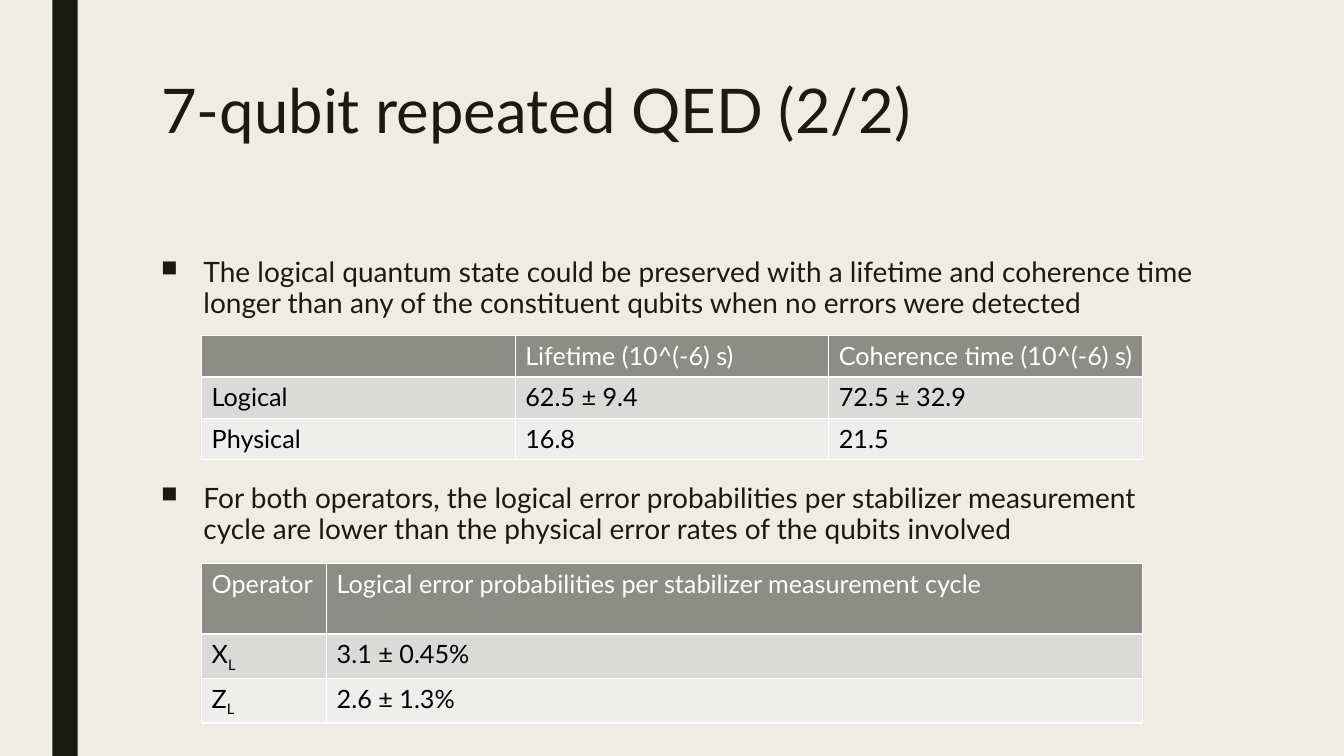
from lxml import etree
from pptx import Presentation
from pptx.dml.color import RGBColor
from pptx.enum import shapes
from pptx.oxml import ns
from pptx.util import Inches, Pt

INK = RGBColor(0x19, 0x1B, 0x0E)
PAPER = RGBColor(0xEF, 0xED, 0xE3)
WHITE = RGBColor(0xFF, 0xFF, 0xFF)
BLACK = RGBColor(0, 0, 0)
HEAD = RGBColor(0x8C, 0x8D, 0x86)
BANDS = [RGBColor(0xDA, 0xDB, 0xD9), RGBColor(0xEE, 0xEE, 0xED)]


def add_run(para, words, size, color):
    run = para.add_run()
    run.text = words
    run.font.name = "Lato"
    run.font.size = Pt(size)
    run.font.bold = False
    run.font.color.rgb = color
    return run


def add_box(top, height, words, size, space):
    box = slide.shapes.add_textbox(Inches(1.5), Inches(top), Inches(10.5), Inches(height))
    box.text_frame.word_wrap = True
    para = box.text_frame.paragraphs[0]
    para.line_spacing = space
    add_run(para, words, size, INK)
    return para


deck = Presentation()
deck.slide_width = Inches(13.33)
deck.slide_height = Inches(7.5)
slide = deck.slides.add_slide(deck.slide_layouts[6])
slide.background.fill.solid()
slide.background.fill.fore_color.rgb = PAPER

bar = slide.shapes.add_shape(
    shapes.MSO_SHAPE.RECTANGLE, Inches(0.52), 0, Inches(0.25), Inches(7.5))
bar.shadow.inherit = False
bar.fill.solid()
bar.fill.fore_color.rgb = INK
bar.line.fill.background()

add_box(0.75, 1.62, "7-qubit repeated QED (2/2)", 44, 0.89)

points = [
    (2.5, "The logical quantum state could be preserved with a lifetime and coherence time "
          "longer than any of the constituent qubits when no errors were detected"),
    (4.74, "For both operators, the logical error probabilities per stabilizer measurement "
           "cycle are lower than the physical error rates of the qubits involved"),
]
for top, words in points:
    para = add_box(top, 0.8, words, 20, 0.94)
    para.space_before = Pt(10)
    para.space_after = Pt(2)
    props = para._p.get_or_add_pPr()
    props.set("marL", str(Inches(0.42)))
    props.set("indent", str(-Inches(0.42)))
    etree.SubElement(props, ns.qn("a:buSzPct")).set("val", "80000")
    etree.SubElement(props, ns.qn("a:buChar")).set("char", "■")

tables = [
    (3.33, [3.11, 3.11, 3.11], [0.41, 0.41, 0.41], [
        ["", "Lifetime (10^(-6) s)", "Coherence time (10^(-6) s)"],
        ["Logical", "62.5 ± 9.4", "72.5 ± 32.9"],
        ["Physical", "16.8", "21.5"]]),
    (5.59, [1.24, 8.09], [0.7, 0.44, 0.44], [
        ["Operator", "Logical error probabilities per stabilizer measurement cycle"],
        ["X_L", "3.1 ± 0.45%"],
        ["Z_L", "2.6 ± 1.3%"]]),
]
for top, widths, heights, rows in tables:
    table = slide.shapes.add_table(
        len(rows), len(widths), Inches(2), Inches(top),
        Inches(sum(widths)), Inches(sum(heights))).table
    for col, width in zip(table.columns, widths):
        col.width = Inches(width)
    for r, row in enumerate(rows):
        table.rows[r].height = Inches(heights[r])
        for c, words in enumerate(row):
            cell = table.cell(r, c)
            cell.margin_right = Inches(0.02)
            props = cell._tc.get_or_add_tcPr()
            for side in "LRTB":
                edge = etree.SubElement(props, ns.qn("a:ln" + side))
                edge.set("w", str(Pt(1)))
                paint = etree.SubElement(edge, ns.qn("a:solidFill"))
                etree.SubElement(paint, ns.qn("a:srgbClr")).set("val", str(WHITE))
            cell.fill.solid()
            cell.fill.fore_color.rgb = BANDS[r - 1] if r else HEAD
            color = BLACK if r else WHITE
            main, _, sub = words.partition("_")
            para = cell.text_frame.paragraphs[0]
            if main:
                add_run(para, main, 18, color)
            if sub:
                low = add_run(para, sub, 18, color)
                low.font._element.set("baseline", "-25000")

deck.save("out.pptx")
